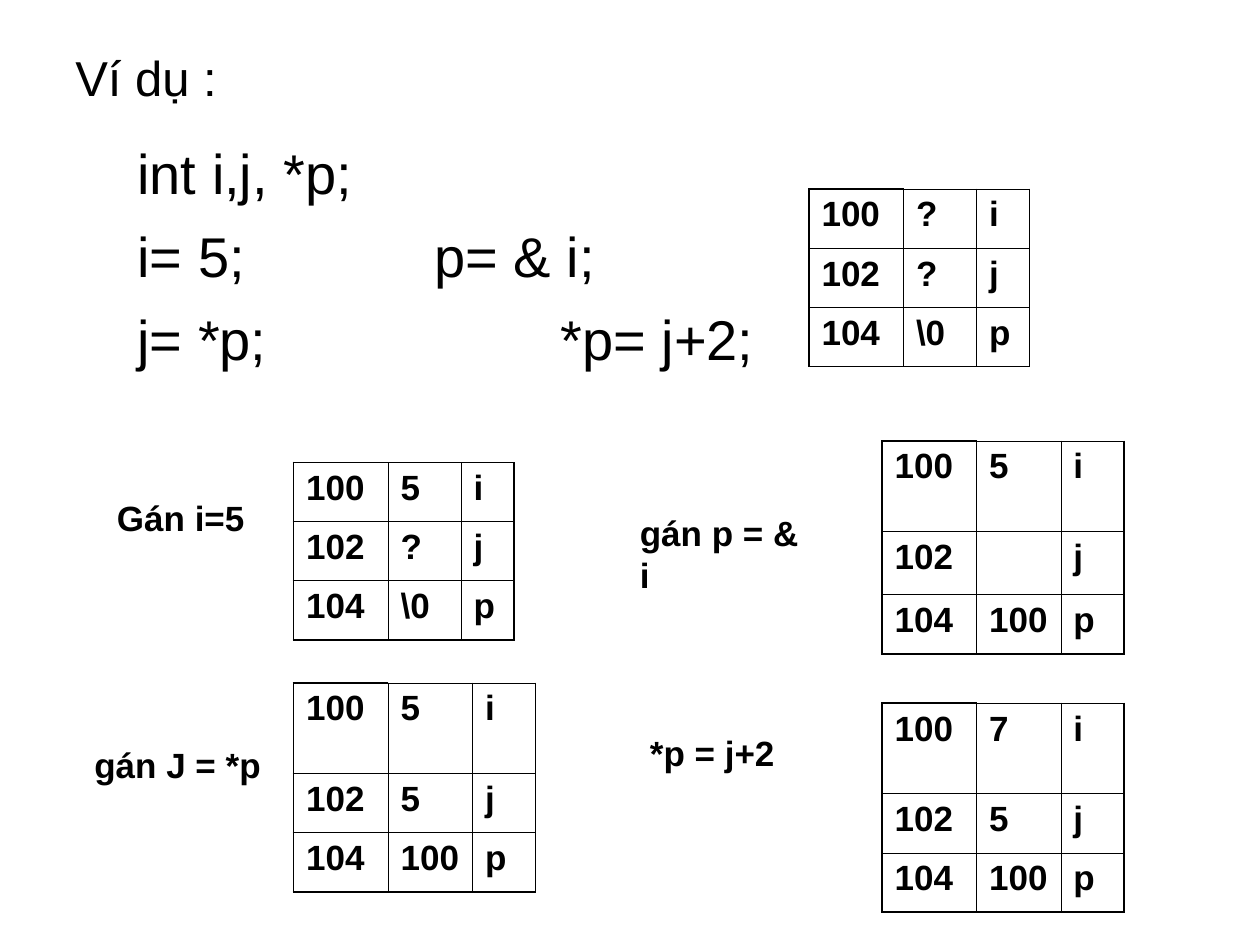
from lxml import etree
from pptx import Presentation
from pptx import util as u
from pptx.enum import text
from pptx.dml.color import RGBColor
from pptx.oxml import ns

COLORS = {"ink": "000000"}
FONT = "Arial"
THIN, THICK = 0.45, 1.08
SMALL = ([0.75, 0.58, 0.42], [0.47, 0.47, 0.47])
LARGE = ([0.75, 0.67, 0.5], [0.72, 0.47, 0.47])
LARGE_GAP = (LARGE[0], [0.72, 0.5, 0.47])


def style(p, size, bold=False):
    p.font.name = FONT
    p.font.size = u.Pt(size)
    p.font.bold = bold
    p.font.color.rgb = RGBColor.from_string(COLORS["ink"])


def add_box(s, left, top, width, height):
    sp = s.shapes.add_textbox(*map(u.Inches, (left, top, width, height)))
    return sp.text_frame


def add_title(s, left, top, width, height):
    tf = add_box(s, left, top, width, height)
    tf.word_wrap = True
    tf.vertical_anchor = text.MSO_ANCHOR.MIDDLE
    tf.text = "Ví dụ :"
    style(tf.paragraphs[0], 28)


def add_code(s, left, top, width, height):
    tf = add_box(s, left, top, width, height)
    tf.word_wrap = True
    lines = [("    int i,j, *p;", None),
             ("    i= 5;\tp= & i;", 2.85),
             ("    j= *p;\t*p= j+2;", 3.85)]
    for n, (line, stop) in enumerate(lines):
        p = tf.paragraphs[0] if n == 0 else tf.add_paragraph()
        p.text = line
        if n:
            p.space_before = u.Pt(9)
        if stop:
            tabs = etree.SubElement(p._p.get_or_add_pPr(), ns.qn("a:tabLst"))
            etree.SubElement(tabs, ns.qn("a:tab"), pos=str(u.Inches(stop)), algn="l")
        style(p, 32)


def add_label(s, label, left, top, width):
    tf = add_box(s, left, top, width, 0.44)
    tf.word_wrap = False
    tf.auto_size = text.MSO_AUTO_SIZE.SHAPE_TO_FIT_TEXT
    tf.text = label
    style(tf.paragraphs[0], 20, bold=True)


def set_borders(cell, widths):
    tc_pr = cell._tc.get_or_add_tcPr()
    for side, width in zip("LRTB", widths):
        ln = etree.SubElement(tc_pr, ns.qn("a:ln" + side), w=str(u.Pt(width)))
        fill = etree.SubElement(ln, ns.qn("a:solidFill"))
        etree.SubElement(fill, ns.qn("a:srgbClr"), val=COLORS["ink"])


def add_memory(s, left, top, values, layout):
    """Memory map: address, value and variable name on each row."""
    cols, rows = layout
    frame = s.shapes.add_table(3, 3, *map(u.Inches, (left, top, sum(cols), sum(rows))))
    table = frame.table
    table.first_row = table.horz_banding = False
    for column, width in zip(table.columns, cols):
        column.width = u.Inches(width)
    for r, (value, name) in enumerate(zip(values, "ijp")):
        table.rows[r].height = u.Inches(rows[r])
        for c, content in enumerate((str(100 + 2 * r), value, name)):
            cell = table.cell(r, c)
            cell.text = content
            style(cell.text_frame.paragraphs[0], 20, bold=True)
            thick = (c == 0, c == 2, r == c == 0, r == 2)
            set_borders(cell, [THICK if edge else THIN for edge in thick])
            cell.fill.background()


def main():
    prs = Presentation()
    prs.slide_width, prs.slide_height = u.Inches(10), u.Inches(7.5)
    s = prs.slides.add_slide(prs.slide_layouts[6])

    # Heading and code
    add_title(s, 0.5, 0.3, 9, 0.62)
    add_code(s, 0.5, 1.05, 9, 5.65)

    # Initial memory
    add_memory(s, 6.42, 1.5, ["?", "?", "\\0"], SMALL)

    # Memory after each assignment
    add_label(s, "Gán i=5", 0.83, 3.89, 1.21)
    add_memory(s, 2.33, 3.67, ["5", "?", "\\0"], SMALL)
    add_label(s, "gán p = & i", 4.98, 4.01, 1.61)
    add_memory(s, 7, 3.5, ["5", "", "100"], LARGE_GAP)
    add_label(s, "gán J = *p", 0.65, 5.85, 1.52)
    add_memory(s, 2.33, 5.42, ["5", "5", "100"], LARGE)
    add_label(s, "*p = j+2", 5.06, 5.76, 1.19)
    add_memory(s, 7, 5.58, ["7", "5", "100"], LARGE)

    prs.save("out.pptx")


if __name__ == "__main__":
    main()
